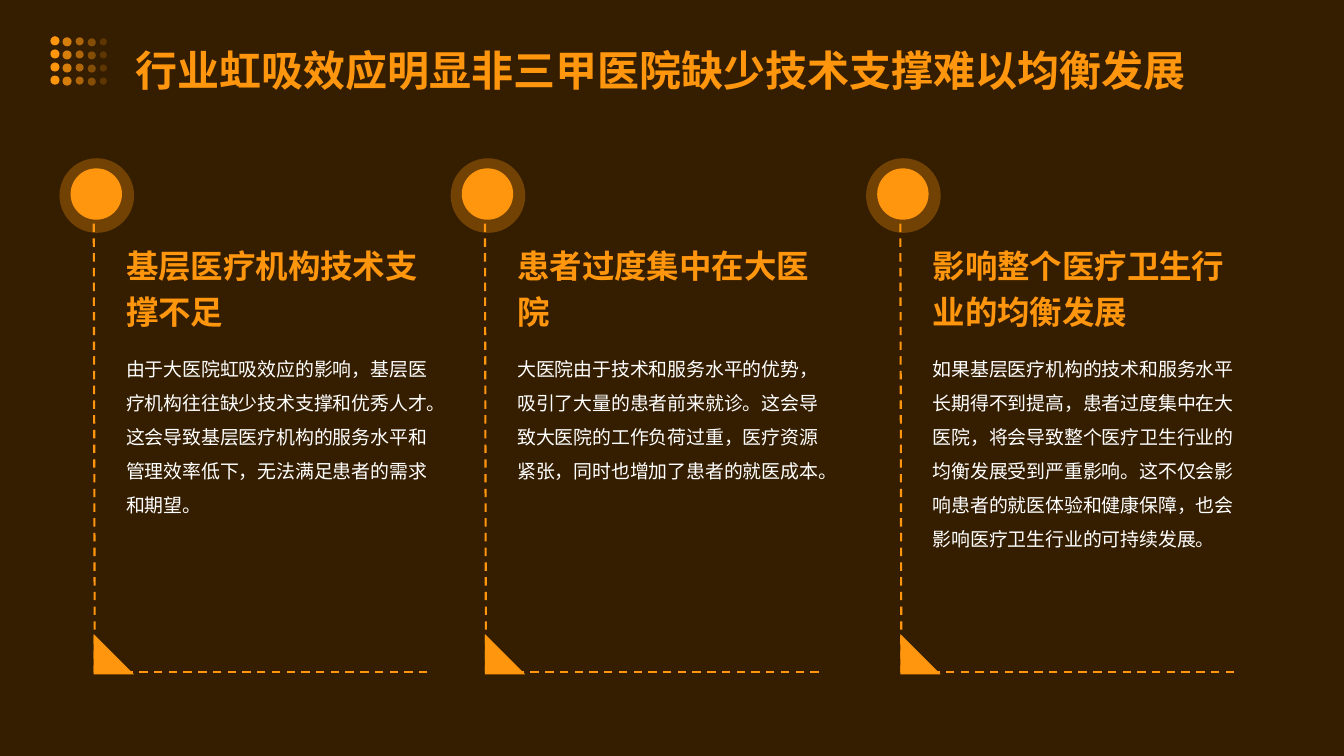
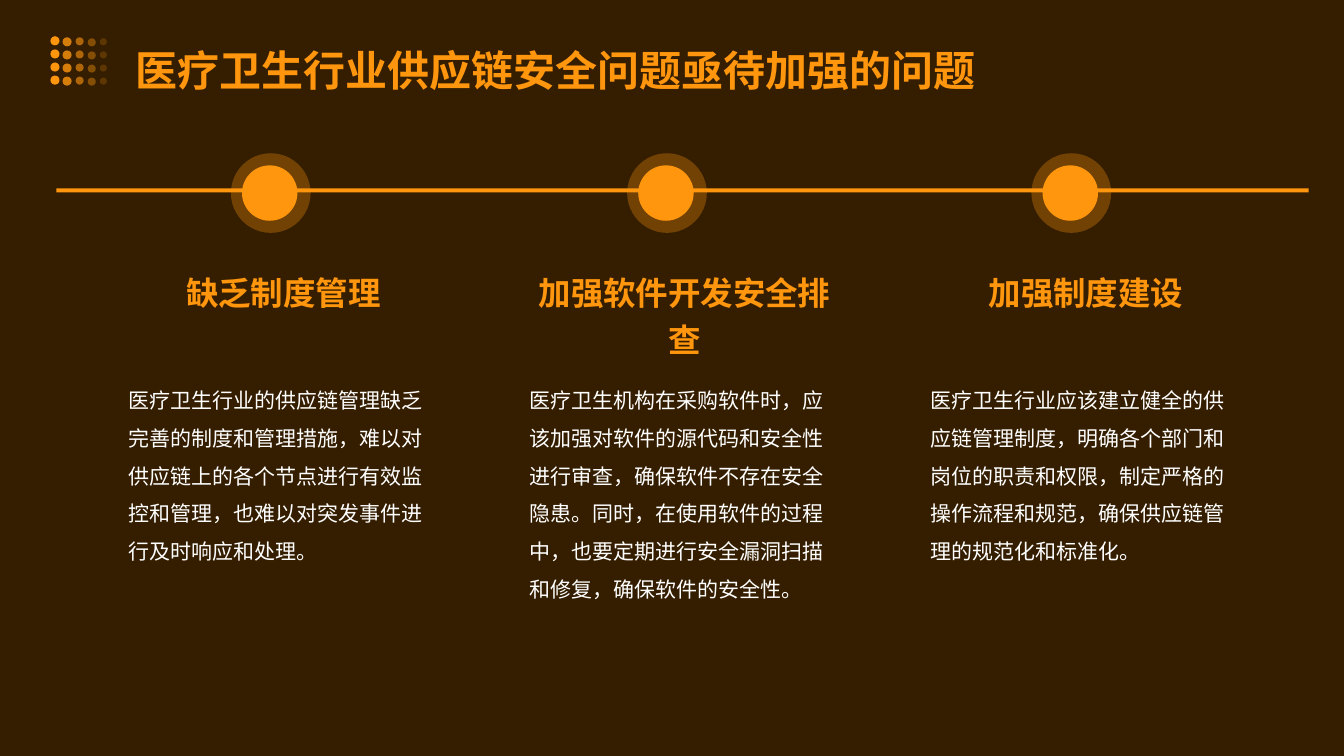
from dataclasses import dataclass

from lxml import etree
from pptx import Presentation
from pptx import util as u
from pptx.dml import color
from pptx.enum import dml, lang, shapes, text
from pptx.oxml import ns

PX = 9144


@dataclass(frozen=True)
class Theme:
    night: str = "351E00"
    amber: str = "FF960E"
    white: str = "FFFFFF"
    font: str = "Noto Sans CJK SC"
    title_pt: float = 30
    heading_pt: float = 23.2
    small_pt: float = 13.5
    body_pt: float = 15
    dash_pt: float = 1.5


THEME = Theme()
FRAME_FORMAT = {
    "word_wrap": True,
    "auto_size": text.MSO_AUTO_SIZE.SHAPE_TO_FIT_TEXT,
    "vertical_anchor": text.MSO_ANCHOR.TOP,
    "margin_left": 14 * PX,
    "margin_top": 14 * PX,
    "margin_right": 6 * PX,
    "margin_bottom": 14 * PX,
}
TITLE = {"size": THEME.title_pt, "tint": THEME.amber, "bold": True, "spacing": 1.4}
HEADING = {"size": THEME.heading_pt, "tint": THEME.amber, "bold": True, "spacing": 1.2}
BODY = {"size": THEME.body_pt, "tint": THEME.white, "bold": False, "spacing": 1.5}

CAUSES = [
    (59, "基层医疗机构技术支撑不足",
     "由于大医院虹吸效应的影响，基层医疗机构往往缺少技术支撑和优秀人才。"
     "这会导致基层医疗机构的服务水平和管理效率低下，无法满足患者的需求和期望。"),
    (447, "患者过度集中在大医院",
     "大医院由于技术和服务水平的优势，吸引了大量的患者前来就诊。"
     "这会导致大医院的工作负荷过重，医疗资源紧张，同时也增加了患者的就医成本。"),
    (859, "影响整个医疗卫生行业的均衡发展",
     "如果基层医疗机构的技术和服务水平长期得不到提高，患者过度集中在大医院，"
     "将会导致整个医疗卫生行业的均衡发展受到严重影响。"
     "这不仅会影响患者的就医体验和健康保障，也会影响医疗卫生行业的可持续发展。"),
]
MEASURES = [
    (229, "缺乏制度管理",
     "医疗卫生行业的供应链管理缺乏完善的制度和管理措施，难以对供应链上的各个节点"
     "进行有效监控和管理，也难以对突发事件进行及时响应和处理。"),
    (622, "加强软件开发安全排查",
     "医疗卫生机构在采购软件时，应该加强对软件的源代码和安全性进行审查，"
     "确保软件不存在安全隐患。同时，在使用软件的过程中，"
     "也要定期进行安全漏洞扫描和修复，确保软件的安全性。"),
    (1023, "加强制度建设",
     "医疗卫生行业应该建立健全的供应链管理制度，明确各个部门和岗位的职责和权限，"
     "制定严格的操作流程和规范，确保供应链管理的规范化和标准化。"),
]


def apply(target, values):
    for name, value in values.items():
        setattr(target, name, value)


def rgb(value):
    return color.RGBColor.from_string(value)


def box(left, top, width, height):
    return [length * PX for length in (left, top, width, height)]


def add_solid(canvas, kind, bounds, opacity=100):
    solid = canvas.add_shape(kind, *box(*bounds))
    solid.shadow.inherit = False
    solid.fill.solid()
    solid.fill.fore_color.rgb = rgb(THEME.amber)
    solid.line.fill.background()
    if opacity < 100:
        tint = solid._element.spPr.find(".//" + ns.qn("a:srgbClr"))
        etree.SubElement(tint, ns.qn("a:alpha"), val=str(opacity * 1000))


def add_words(canvas, bounds, words, style, align=text.PP_ALIGN.LEFT):
    holder = canvas.add_textbox(*box(*bounds))
    apply(holder.text_frame, FRAME_FORMAT)
    paragraph = holder.text_frame.paragraphs[0]
    apply(paragraph, {"alignment": align, "line_spacing": style["spacing"]})
    run = paragraph.add_run()
    run.text = words
    run.font.color.rgb = rgb(style["tint"])
    apply(run.font, {
        "size": u.Pt(style["size"]),
        "bold": style["bold"],
        "name": THEME.font,
        "language_id": lang.MSO_LANGUAGE_ID.SIMPLIFIED_CHINESE,
    })
    latin = run.font._element.find(ns.qn("a:latin"))
    latin.addnext(latin.makeelement(ns.qn("a:ea"), {"typeface": THEME.font}))


def add_dashes(canvas, start, end):
    dashes = canvas.add_connector(
        shapes.MSO_CONNECTOR.STRAIGHT, *[length * PX for length in start + end])
    dashes.line.color.rgb = rgb(THEME.amber)
    apply(dashes.line, {
        "width": u.Pt(THEME.dash_pt),
        "dash_style": dml.MSO_LINE.DASH,
    })
    etree.SubElement(dashes._element.spPr, ns.qn("a:effectLst"))


def add_marker(canvas, left, top, ring, core, inset):
    oval = shapes.MSO_SHAPE.OVAL
    add_solid(canvas, oval, (left, top, ring, ring), 30)
    add_solid(canvas, oval, (left + 11, top + inset, core, core))


def add_title(slide, words):
    banner = slide.shapes.add_group_shape().shapes
    for row in range(4):
        for column in range(5):
            size = 9 - column // 2
            left = round(50 + 12.3 * column)
            top = 36 + 13 * row + (column + 1) // 2
            add_solid(banner, shapes.MSO_SHAPE.OVAL,
                      (left, top, size, size), 100 - 20 * column)
    add_words(banner, (120, 10, 1094, 100), words, TITLE)


def start_slide(deck):
    slide = deck.slides.add_slide(deck.slide_layouts[6])
    slide.background.fill.solid()
    slide.background.fill.fore_color.rgb = rgb(THEME.night)
    return slide


def add_cause(canvas, left, heading, detail):
    stem = left + 34
    add_marker(canvas, left, 157, 74, 51, 10)
    add_solid(canvas, shapes.MSO_SHAPE.RIGHT_TRIANGLE, (stem, 629, 40, 40))
    add_dashes(canvas, (stem, 222), (stem + 1, 667))
    add_dashes(canvas, (stem + 331, 667), (stem, 667))
    add_words(canvas, (left + 52, 222, 328, 123), heading, HEADING)
    add_words(canvas, (left + 52, 330, 335, 272), detail,
              {**BODY, "size": THEME.small_pt})


def build_causes(deck):
    slide = start_slide(deck)
    for cause in CAUSES:
        add_cause(slide.shapes, *cause)
    add_title(slide, "行业虹吸效应明显非三甲医院缺少技术支撑难以均衡发展")


def build_measures(deck):
    slide = start_slide(deck)
    canvas = slide.shapes
    add_solid(canvas, shapes.MSO_SHAPE.RECTANGLE, (56, 187, 1242, 4))
    for index, (marker_left, heading, detail) in enumerate(MEASURES):
        left = 113 + 398 * index
        add_marker(canvas, marker_left, 152, 79, 55, 12)
        add_words(canvas, (left, 249, 328, 123), heading, HEADING,
                  text.PP_ALIGN.CENTER)
        add_words(canvas, (left, 358, 328, 307), detail, BODY)
    add_title(slide, "医疗卫生行业供应链安全问题亟待加强的问题")


def main():
    deck = Presentation()
    apply(deck, {"slide_width": u.Inches(13.33), "slide_height": u.Inches(7.5)})
    build_causes(deck)
    build_measures(deck)
    deck.save("out.pptx")


if __name__ == "__main__":
    main()
